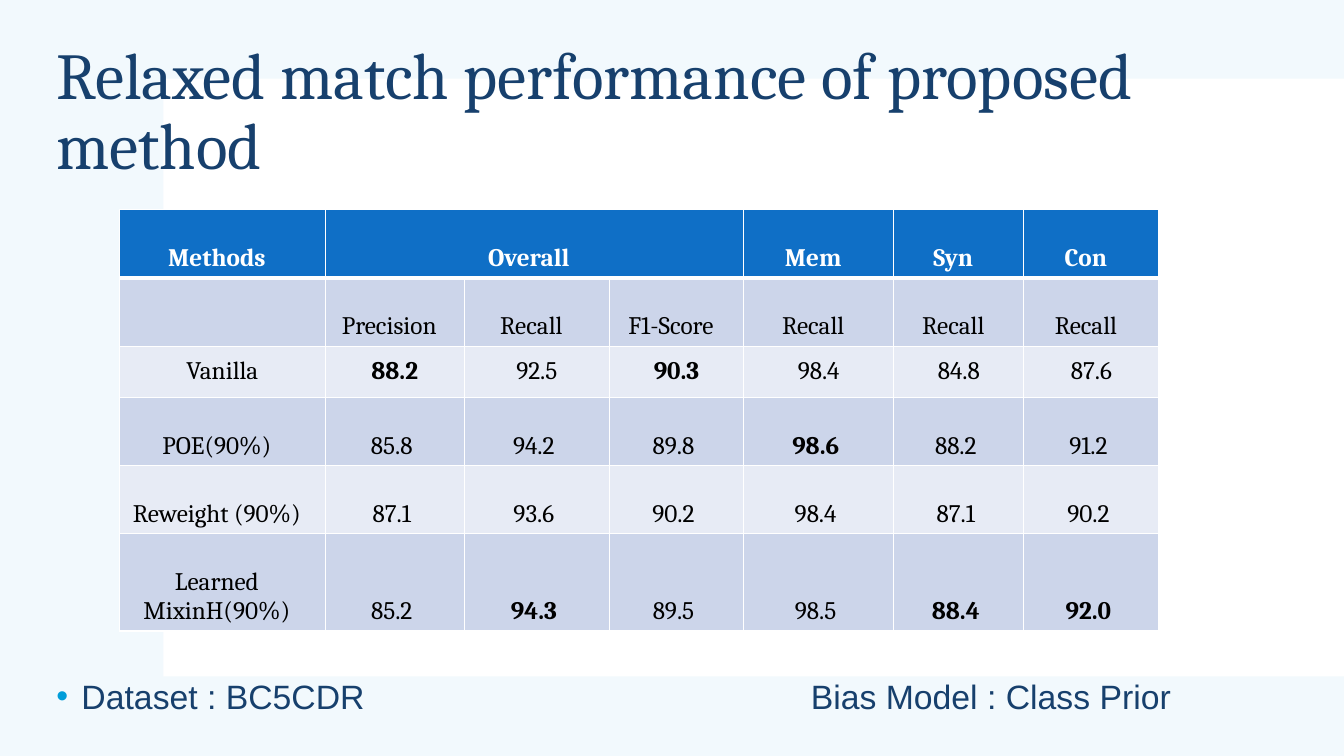
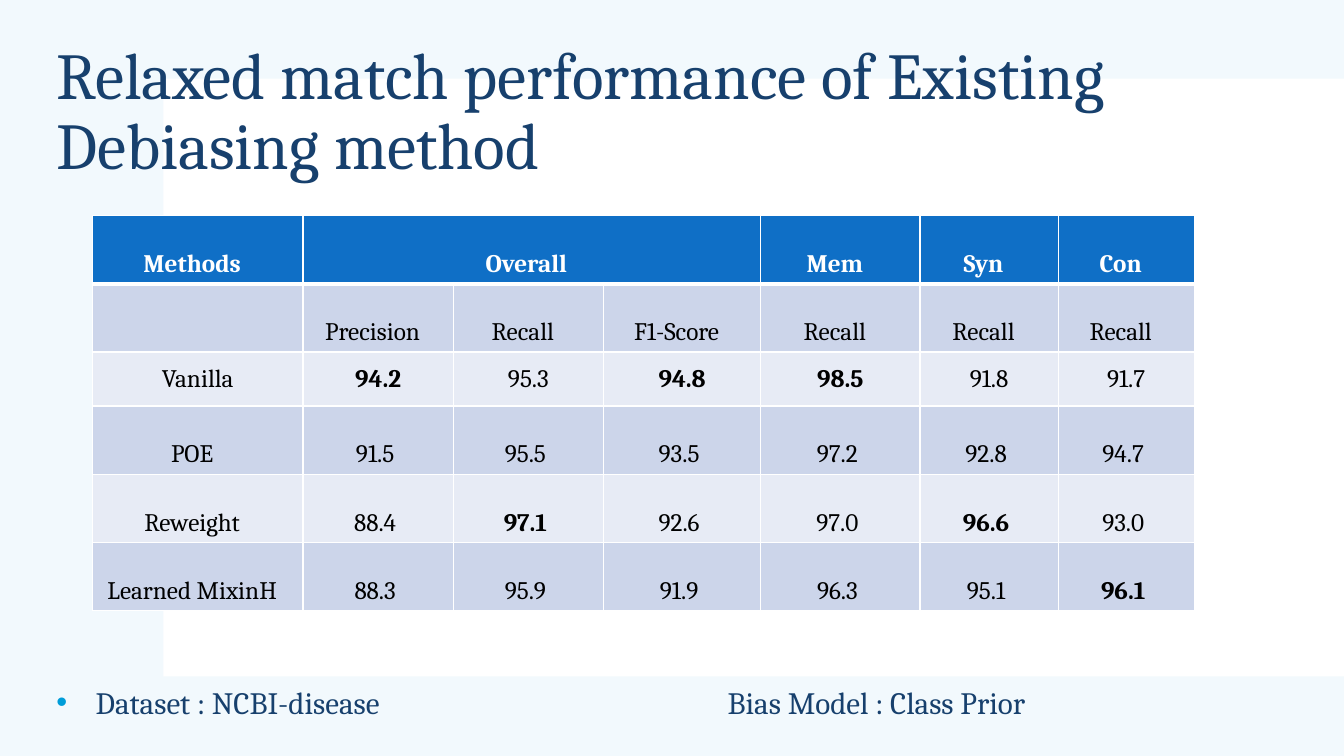
from dataclasses import dataclass

from lxml.etree import SubElement
from pptx import Presentation
from pptx.dml.color import RGBColor as RGB
from pptx.enum.shapes import MSO_SHAPE as SHAPE
from pptx.enum.text import MSO_ANCHOR as ANCHOR, PP_ALIGN as ALIGN
from pptx.oxml.ns import qn
from pptx.util import Inches, Pt


@dataclass(frozen=True)
class Theme:
    backdrop: str = "F2F9FD"
    white: str = "FFFFFF"
    black: str = "000000"
    navy: str = "17406D"
    bullet: str = "009DD9"
    header: str = "0F6FC6"
    dark_band: str = "CCD5EA"
    light_band: str = "E7EBF5"
    serif: str = "Cambria"
    sans: str = "Arial"
    title_size: float = 46.8
    table_size: float = 18


T = Theme()
prs = Presentation()
prs.slide_width, prs.slide_height = Inches(13.33), Inches(7.5)
COL, ROW = prs.slide_width / 100, prs.slide_height / 100  # 100 x 100 grid


def write(tf, text, font=T.serif, size=T.table_size, color=T.navy, bold=False,
          align=ALIGN.LEFT, anchor=ANCHOR.MIDDLE, spacing=1.0):
    """Put one formatted paragraph in a text frame and return it."""
    tf.word_wrap, tf.vertical_anchor = True, anchor
    p = tf.paragraphs[0]
    p.alignment, p.line_spacing = align, spacing
    r = p.add_run()
    r.text = text
    r.font.name, r.font.size, r.font.bold = font, Pt(size), bold
    r.font.color.rgb = RGB.from_string(color)
    return p


def box(s, x, y, w, h):
    """Add a text box placed in grid units and return its text frame."""
    return s.shapes.add_textbox(
        int(x * COL), int(y * ROW), int(w * COL), int(h * ROW)).text_frame


# Slide content: * marks the bold results
HEAD = ["Methods", "Overall", "", "", "Mem", "Syn", "Con"]
SUBHEAD = ["", "Precision", "Recall", "F1-Score", "Recall", "Recall", "Recall"]
SLIDES = [
    dict(
        title="Relaxed match performance of proposed method",
        left=8.9, top=27.75,
        cols=[15.3, 10.35, 10.8, 9.98, 11.18, 9.68, 10.05],
        rows=[9.03, 9.03, 6.75, 9.03, 9.03, 12.85],
        body=["Vanilla *88.2 92.5 *90.3 98.4 84.8 87.6",
              "POE(90%) 85.8 94.2 89.8 *98.6 88.2 91.2",
              "Reweight (90%) 87.1 93.6 90.2 98.4 87.1 90.2",
              "Learned MixinH(90%) 85.2 *94.3 89.5 98.5 *88.4 *92.0"],
        dataset="Dataset : BC5CDR", font=T.sans, size=24.1,
        note_y=92.1, indent=0.25, bias_x=59.6),
    dict(
        title="Relaxed match performance of Existing Debiasing method",
        left=6.87, top=28.5,
        cols=[15.68, 11.18, 11.18, 11.7, 11.85, 10.28, 10.13],
        rows=[9.03, 9.03, 7.15, 9.03, 9.03, 9.03],
        body=["Vanilla *94.2 95.3 *94.8 *98.5 91.8 91.7",
              "POE 91.5 95.5 93.5 97.2 92.8 94.7",
              "Reweight 88.4 *97.1 92.6 97.0 *96.6 93.0",
              "Learned MixinH 88.3 95.9 91.9 96.3 95.1 *96.1"],
        dataset="Dataset : NCBI-disease", font=T.serif, size=22.2,
        note_y=92.9, indent=0.39, bias_x=53.4),
]

for d in SLIDES:
    s = prs.slides.add_slide(prs.slide_layouts[6])

    # Tinted background and white panel
    s.background.fill.solid()
    s.background.fill.fore_color.rgb = RGB.from_string(T.backdrop)
    sp = s.shapes.add_shape(SHAPE.RECTANGLE, int(12.15 * COL), int(10.4 * ROW),
                            int(87.85 * COL), int(79.07 * ROW))
    sp.shadow.inherit = False
    sp.fill.solid()
    sp.fill.fore_color.rgb = RGB.from_string(T.white)
    sp.line.fill.background()

    # Title
    write(box(s, 3.45, 5.33, 86.5, 19.33), d["title"], size=T.title_size, spacing=0.9)

    # Dataset bullet and bias model
    note = dict(font=d["font"], size=d["size"])
    p = write(box(s, 3.45, d["note_y"] - 3.5, 40, 7), d["dataset"], **note)
    pPr = p._p.get_or_add_pPr()
    pPr.set("marL", str(Inches(d["indent"])))
    pPr.set("indent", str(-Inches(d["indent"])))
    SubElement(SubElement(pPr, qn("a:buClr")), qn("a:srgbClr"), val=T.bullet)
    SubElement(pPr, qn("a:buFont"), typeface=T.sans)
    SubElement(pPr, qn("a:buChar"), char="•")
    write(box(s, d["bias_x"], d["note_y"] - 3.5, 35, 7), "Bias Model : Class Prior", **note)

    # Results table
    grid = [HEAD, SUBHEAD] + [line.rsplit(" ", 6) for line in d["body"]]
    tbl = s.shapes.add_table(
        len(grid), len(HEAD), int(d["left"] * COL), int(d["top"] * ROW),
        int(sum(d["cols"]) * COL), int(sum(d["rows"]) * ROW)).table
    for col, w in zip(tbl.columns, d["cols"]):
        col.width = int(w * COL)
    for row, h in zip(tbl.rows, d["rows"]):
        row.height = int(h * ROW)
    tbl.cell(0, 1).merge(tbl.cell(0, 3))

    for i, texts in enumerate(grid):
        fill = T.header if i == 0 else (T.dark_band if i % 2 else T.light_band)
        for j, text in enumerate(texts):
            cell = tbl.cell(i, j)
            tcPr = cell._tc.get_or_add_tcPr()
            for side in "LRTB":
                thick = (i, side) in ((0, "B"), (1, "T"))
                ln = SubElement(tcPr, qn(f"a:ln{side}"), w=str(Pt(3 if thick else 1)))
                SubElement(SubElement(ln, qn("a:solidFill")), qn("a:srgbClr"), val=T.white)
            cell.fill.solid()
            cell.fill.fore_color.rgb = RGB.from_string(fill)
            # Text sits low and a little left, except in the centred third row
            shift = 0 if i == 2 else 0.11 if i < 2 or j == 0 else 0.06
            cell.margin_right = Inches(0.1 + shift)
            cell.vertical_anchor = anchor = ANCHOR.MIDDLE if i == 2 else ANCHOR.BOTTOM
            if text:
                write(cell.text_frame, text.lstrip("*"), align=ALIGN.CENTER, anchor=anchor,
                      color=T.black if i else T.white, bold=i == 0 or text[0] == "*")

prs.save("out.pptx")
